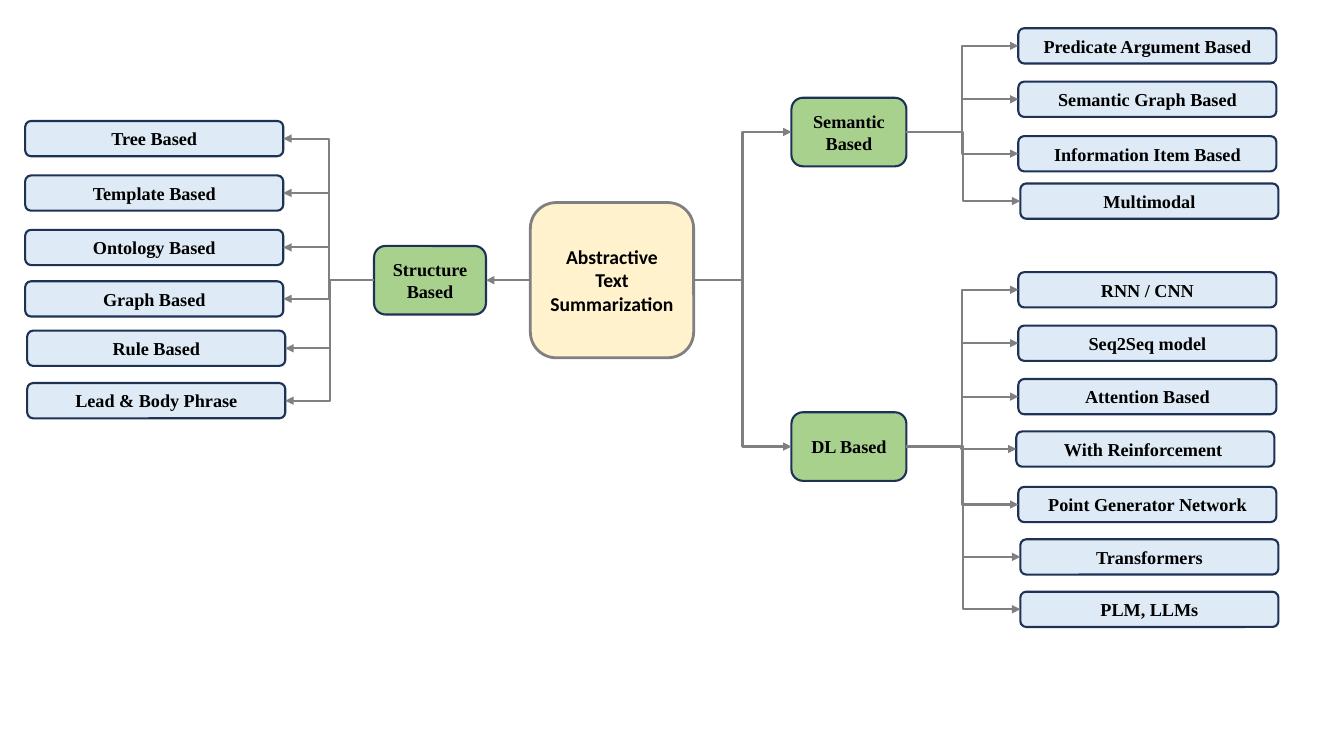
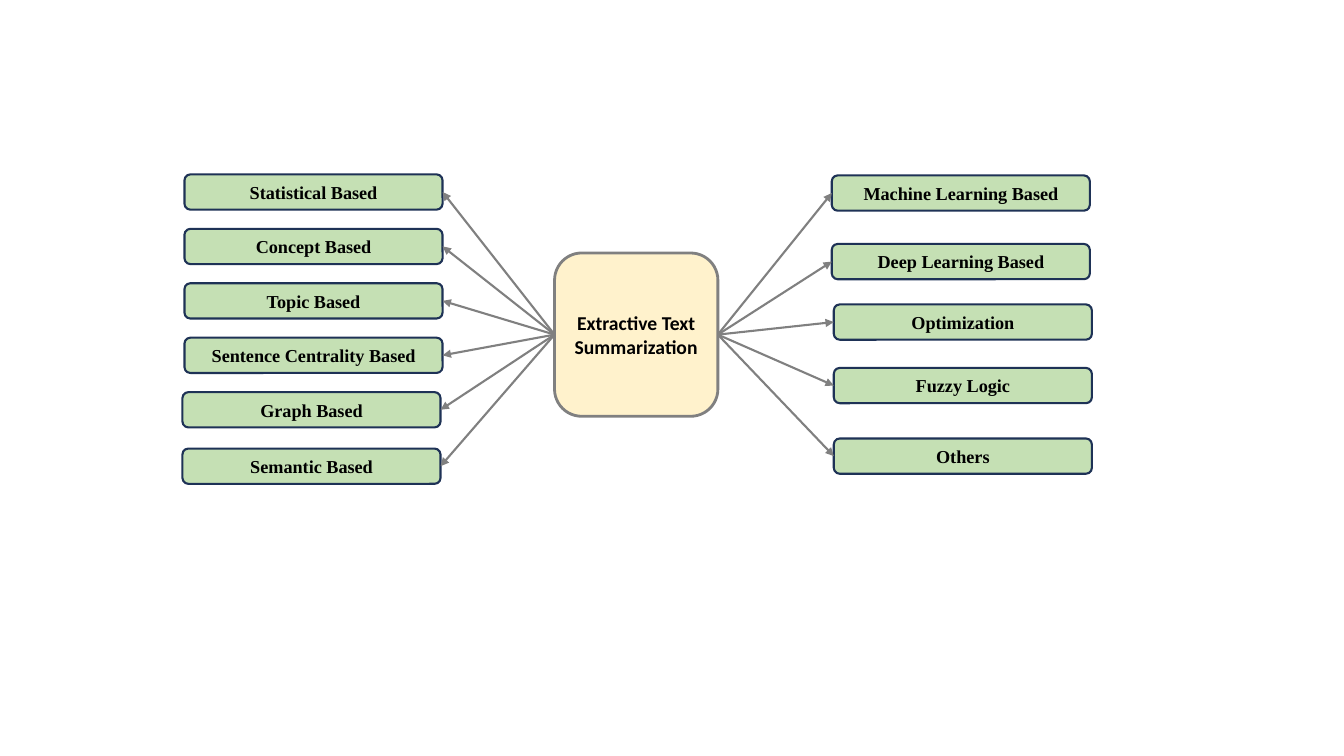
from dataclasses import dataclass

from lxml.etree import SubElement
from pptx import Presentation
from pptx.dml.color import RGBColor as Color
from pptx.enum.shapes import MSO_CONNECTOR as Connector, MSO_SHAPE as Shape
from pptx.enum.text import MSO_ANCHOR as Anchor, PP_ALIGN as Align
from pptx.oxml.ns import qn
from pptx.util import Inches, Pt


@dataclass(frozen=True)
class Theme:
    """Colours, fonts and sizes shared by the slides."""

    hub: str = "FFF2CC"
    branch: str = "A9D18E"
    leaf_blue: str = "DEEBF7"
    leaf_green: str = "C5E0B4"
    navy: str = "1E3256"
    grey: str = "808080"
    black: str = "000000"
    hub_font: str = "Calibri"
    node_font: str = "Times New Roman"
    hub_size: float = 14
    node_size: float = 13
    hub_line: float = 2
    node_line: float = 1.5
    leaf_width: float = 2.56
    leaf_height: float = 0.35
    branch_height: float = 0.68
    hub_width: float = 1.62


THEME = Theme()
LEFT_SITE, RIGHT_SITE = 1, 3

STRUCTURE_LEAVES = [
    ("Tree Based", 0.25, 1.2),
    ("Template Based", 0.25, 1.74),
    ("Ontology Based", 0.25, 2.28),
    ("Graph Based", 0.25, 2.79),
    ("Rule Based", 0.27, 3.28),
    ("Lead & Body Phrase", 0.27, 3.8),
]
SEMANTIC_LEAVES = [
    ("Predicate Argument Based", 10.1, 0.28),
    ("Semantic Graph Based", 10.1, 0.81),
    ("Information Item Based", 10.1, 1.35),
    ("Multimodal", 10.12, 1.82),
]
DEEP_LEAVES = [
    ("RNN / CNN", 10.1, 2.7),
    ("Seq2Seq model", 10.1, 3.23),
    ("Attention Based", 10.1, 3.76),
    ("With Reinforcement ", 10.08, 4.28),
    ("Point Generator Network", 10.1, 4.83),
    ("Transformers", 10.12, 5.35),
    ("PLM, LLMs", 10.12, 5.87),
]
EXTRACTIVE_LEFT = [
    ("Statistical Based", 1.83, 1.73),
    ("Concept Based", 1.83, 2.27),
    ("Topic Based", 1.83, 2.81),
    ("Sentence Centrality Based", 1.83, 3.35),
    ("Graph Based", 1.81, 3.89),
    ("Semantic Based", 1.81, 4.45),
]
EXTRACTIVE_RIGHT = [
    ("Machine Learning Based", 8.25, 1.74),
    ("Deep Learning Based", 8.25, 2.42),
    ("Optimization", 8.27, 3.02),
    ("Fuzzy Logic", 8.27, 3.65),
    ("Others", 8.27, 4.35),
]


def add_box(page, text, place, fill, line=THEME.navy, line_width=THEME.node_line,
            font=THEME.node_font, size=THEME.node_size):
    """Add a rounded box with centred bold text."""
    box = page.shapes.add_shape(Shape.ROUNDED_RECTANGLE, *map(Inches, place))
    box.shadow.inherit = False
    box.fill.solid()
    box.fill.fore_color.rgb = Color.from_string(fill)
    box.line.color.rgb = Color.from_string(line)
    box.line.width = Pt(line_width)
    frame = box.text_frame
    frame.text = text
    frame.word_wrap = True
    frame.vertical_anchor = Anchor.MIDDLE
    para = frame.paragraphs[0]
    para.alignment = Align.CENTER
    span = para.runs[0]
    span.font.name = font
    span.font.size = Pt(size)
    span.font.bold = True
    span.font.color.rgb = Color.from_string(THEME.black)
    return box


def add_hub(page, text, left, top, height):
    """Add the central topic box."""
    return add_box(page, text, (left, top, THEME.hub_width, height), THEME.hub,
                   THEME.grey, THEME.hub_line, THEME.hub_font, THEME.hub_size)


def add_branch(page, text, left, top, width):
    """Add a second-level box."""
    return add_box(page, text, (left, top, width, THEME.branch_height), THEME.branch)


def add_arrow(page, source, target, kind):
    """Join the facing sides of two boxes with an arrow."""
    arrow = page.shapes.add_connector(kind, 0, 0, 0, 0)
    rightward = source.left < target.left
    arrow.begin_connect(source, RIGHT_SITE if rightward else LEFT_SITE)
    arrow.end_connect(target, LEFT_SITE if rightward else RIGHT_SITE)
    arrow.line.color.rgb = Color.from_string(THEME.grey)
    arrow.line.width = Pt(THEME.node_line)
    properties = arrow.element.spPr
    SubElement(properties.find(qn("a:ln")), qn("a:tailEnd"), type="triangle")
    SubElement(properties, qn("a:effectLst"))


def add_leaves(page, source, leaves, fill, kind):
    """Add leaf boxes, each reached by an arrow from the source box."""
    for text, left, top in leaves:
        place = (left, top, THEME.leaf_width, THEME.leaf_height)
        add_arrow(page, source, add_box(page, text, place, fill), kind)


def build_abstractive(page):
    """Draw the abstractive summarization tree."""
    hub = add_hub(page, "Abstractive Text Summarization", 5.26, 2.01, 1.54)
    branches = [
        ("Structure Based", 3.71, 2.44, 1.11, Connector.STRAIGHT, STRUCTURE_LEAVES),
        ("Semantic Based", 7.85, 0.97, 1.14, Connector.ELBOW, SEMANTIC_LEAVES),
        ("DL Based", 7.85, 4.09, 1.14, Connector.ELBOW, DEEP_LEAVES),
    ]
    for text, left, top, width, kind, leaves in branches:
        branch = add_branch(page, text, left, top, width)
        add_arrow(page, hub, branch, kind)
        add_leaves(page, branch, leaves, THEME.leaf_blue, Connector.ELBOW)


def build_extractive(page):
    """Draw the extractive summarization map."""
    hub = add_hub(page, "Extractive Text Summarization", 5.5, 2.51, THEME.hub_width)
    for leaves in (EXTRACTIVE_LEFT, EXTRACTIVE_RIGHT):
        add_leaves(page, hub, leaves, THEME.leaf_green, Connector.STRAIGHT)


def main():
    """Build and save the deck."""
    deck = Presentation()
    deck.slide_width, deck.slide_height = Inches(13.33), Inches(7.5)
    blank = deck.slide_layouts[6]
    for build in (build_abstractive, build_extractive):
        build(deck.slides.add_slide(blank))
    deck.save("out.pptx")


if __name__ == "__main__":
    main()
